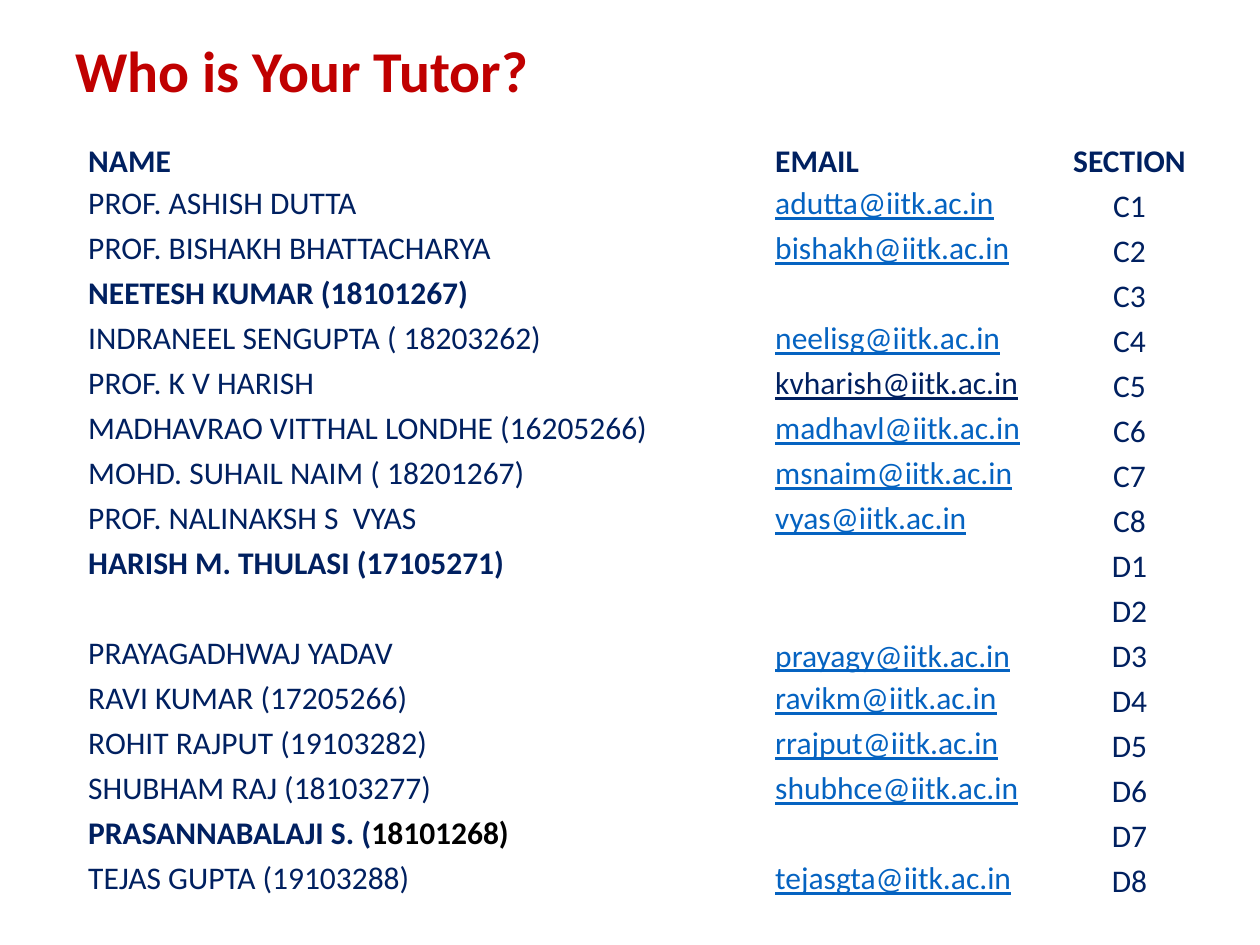
"""Builds the slide that lists each section's tutor and e-mail address."""
from lxml import etree
from pptx import Presentation
from pptx import util as u
from pptx.dml.color import RGBColor
from pptx.enum import text
from pptx.oxml import ns

PX = u.Inches(1) / 126
FONT = "Calibri"
RED = RGBColor(0xC0, 0x00, 0x00)
NAVY = RGBColor(0x00, 0x20, 0x60)
LINK_BLUE = RGBColor(0x05, 0x63, 0xC1)
BLACK = RGBColor(0x00, 0x00, 0x00)
WHITE = RGBColor(0xFF, 0xFF, 0xFF)

TOP, MIDDLE, BOTTOM = (text.MSO_ANCHOR.TOP, text.MSO_ANCHOR.MIDDLE,
                       text.MSO_ANCHOR.BOTTOM)
LEFT, CENTER = text.PP_ALIGN.LEFT, text.PP_ALIGN.CENTER

HEADINGS = ("NAME", "EMAIL", "SECTION")
COLUMN_WIDTHS = (687, 277, 157)
ROW_HEIGHT = 45
SECTIONS = [f"{letter}{number}" for letter in "CD" for number in range(1, 9)]
TUTORS = [
    ("PROF. ASHISH DUTTA", "adutta"),
    ("PROF. BISHAKH BHATTACHARYA", "bishakh"),
    ("NEETESH KUMAR (18101267)", ""),
    ("INDRANEEL SENGUPTA ( 18203262)", "neelisg"),
    ("PROF. K V HARISH", "kvharish"),
    ("MADHAVRAO VITTHAL LONDHE (16205266)", "madhavl"),
    ("MOHD. SUHAIL NAIM ( 18201267)", "msnaim"),
    ("PROF. NALINAKSH S  VYAS", "vyas"),
    ("HARISH M. THULASI (17105271)", ""),
    ("", ""),
    ("PRAYAGADHWAJ YADAV", "prayagy"),
    ("RAVI KUMAR (17205266)", "ravikm"),
    ("ROHIT RAJPUT (19103282)", "rrajput"),
    ("SHUBHAM RAJ (18103277)", "shubhce"),
    ("PRASANNABALAJI S. (", ""),
    ("TEJAS GUPTA (19103288)", "tejasgta"),
]
BLACK_NUMBERS = {"D7": "18101268)"}
NAVY_EMAILS = {"kvharish"}
LOW_EMAILS = {"prayagy"}


def px(length):
    """Turn px into EMU."""
    return u.Emu(round(length * PX))


def style_font(font, size, color, bold=False, underline=False):
    """Set the look of a run or paragraph font."""
    font.name = FONT
    font.size = u.Pt(size)
    font.color.rgb = color
    font.bold = bold
    font.underline = underline


def add_title(slide, words):
    """Add the slide heading."""
    frame = slide.shapes.add_textbox(px(63), px(31), px(1086), px(86)).text_frame
    frame.word_wrap = True
    frame.vertical_anchor = MIDDLE
    frame.text = words
    frame.paragraphs[0].line_spacing = 0.9
    style_font(frame.paragraphs[0].runs[0].font, 33, RED, bold=True)


def add_borders(cell):
    """Draw a thin white line on every side of a cell."""
    properties = cell._tc.get_or_add_tcPr()
    for index, side in enumerate(("lnL", "lnR", "lnT", "lnB")):
        line = etree.Element(ns.qn(f"a:{side}"), w=str(u.Pt(1)))
        fill = etree.SubElement(line, ns.qn("a:solidFill"))
        etree.SubElement(fill, ns.qn("a:srgbClr"), val=str(WHITE))
        properties.insert(index, line)


def fill_cell(cell, words, anchor=MIDDLE, align=LEFT, color=NAVY, **look):
    """Write one table cell."""
    cell.fill.background()
    add_borders(cell)
    cell.margin_left = cell.margin_right = cell.margin_top = u.Inches(0.01)
    cell.margin_bottom = 0
    cell.vertical_anchor = anchor
    cell.text = words
    paragraph = cell.text_frame.paragraphs[0]
    paragraph.alignment = align
    style_font(paragraph.font, 18, color, **look)
    for run in paragraph.runs:
        style_font(run.font, 18, color, **look)


def fill_tutor(cells, name, user, section):
    """Write the name, e-mail address and section of one tutor."""
    name_cell, email_cell, section_cell = cells
    fill_cell(name_cell, name, bold=bool(name and not user))
    if section in BLACK_NUMBERS:
        number = name_cell.text_frame.paragraphs[0].add_run()
        number.text = BLACK_NUMBERS[section]
        style_font(number.font, 18, BLACK, bold=True)
    fill_cell(email_cell, f"{user}@iitk.ac.in" if user else "",
              anchor=BOTTOM if user in LOW_EMAILS else MIDDLE,
              color=NAVY if user in NAVY_EMAILS else LINK_BLUE,
              underline=bool(user))
    fill_cell(section_cell, section, anchor=BOTTOM, align=CENTER)


def add_tutor_table(slide):
    """Add the table of tutors, one row per section."""
    row_count = len(TUTORS) + 1
    table = slide.shapes.add_table(
        row_count, len(HEADINGS), px(87), px(136),
        px(sum(COLUMN_WIDTHS)), px(ROW_HEIGHT * row_count)).table
    table.first_row = table.horz_banding = False
    for column, width in zip(table.columns, COLUMN_WIDTHS):
        column.width = px(width)
    for row in table.rows:
        row.height = px(ROW_HEIGHT)
    for cell, heading in zip(table.rows[0].cells, HEADINGS):
        fill_cell(cell, heading, anchor=BOTTOM, bold=True,
                  align=CENTER if heading == "SECTION" else LEFT)
    for index, ((name, user), section) in enumerate(zip(TUTORS, SECTIONS), 1):
        fill_tutor(table.rows[index].cells, name, user, section)


def main():
    """Build and save the slide."""
    deck = Presentation()
    deck.slide_width, deck.slide_height = px(1260), px(945)
    slide = deck.slides.add_slide(deck.slide_layouts[6])
    add_title(slide, "Who is Your Tutor?")
    add_tutor_table(slide)
    deck.save("out.pptx")


if __name__ == "__main__":
    main()
